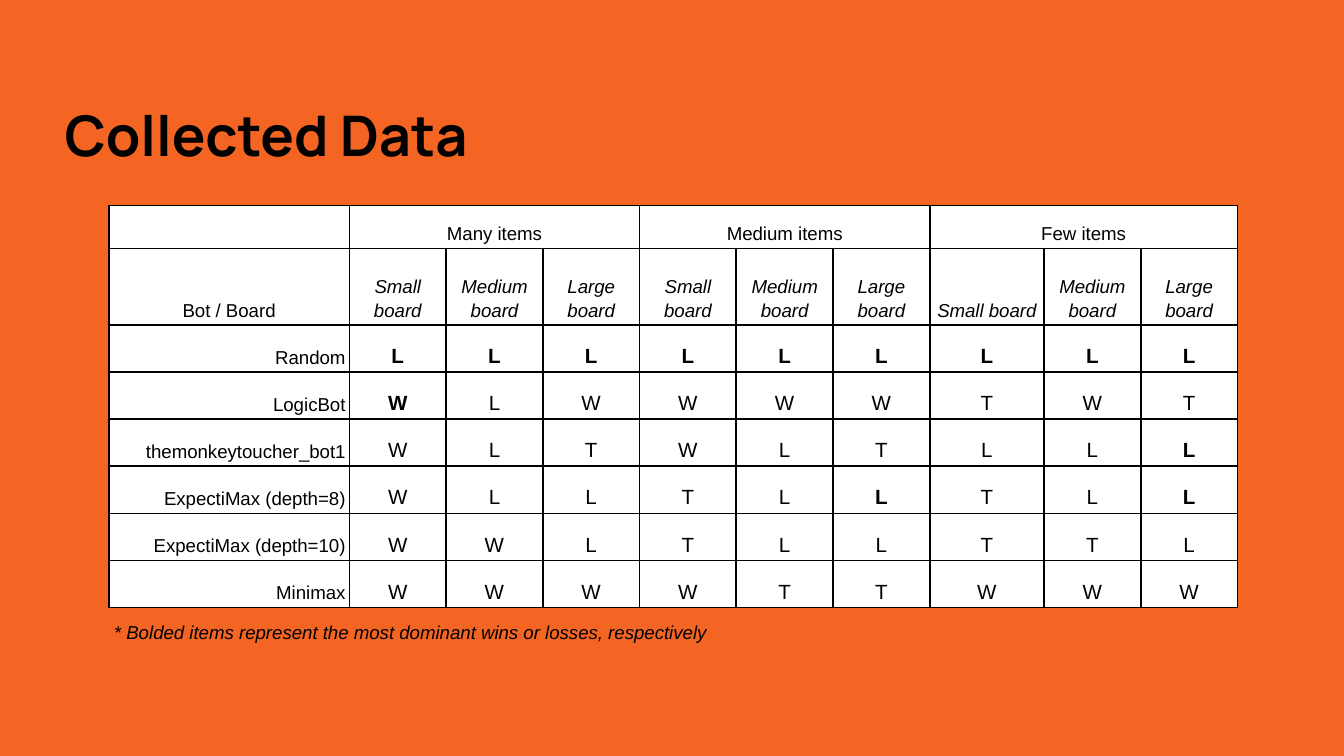
from dataclasses import dataclass

from lxml import etree
from pptx import Presentation
from pptx.dml.color import RGBColor
from pptx.enum import text
from pptx.oxml.ns import qn
from pptx.util import Inches, Pt


@dataclass(frozen=True)
class Theme:
    background: str = "F46524"
    paper: str = "FFFFFF"
    ink: str = "000000"
    title_font: str = "Manrope"
    body_font: str = "Arial"
    title_size: int = 30
    label_size: int = 10
    result_size: int = 11
    border: int = 1


THEME = Theme()
LEFT, CENTER, RIGHT = text.PP_ALIGN.LEFT, text.PP_ALIGN.CENTER, text.PP_ALIGN.RIGHT

SLIDE_WIDTH = Inches(10)
SLIDE_HEIGHT = SLIDE_WIDTH * 9 // 16

ITEM_LEVELS = ["Many items", "Medium items", "Few items"]
BOARDS = ["Small board", "Medium board", "Large board"]
# W = win, L = loss, T = tie; an asterisk marks a dominant result.
RESULTS = {
    "Random": "L* L* L* L* L* L* L* L* L*",
    "LogicBot": "W* L W W W W T W T",
    "themonkeytoucher_bot1": "W L T W L T L L L*",
    "ExpectiMax (depth=8)": "W L L T L L* T L L*",
    "ExpectiMax (depth=10)": "W W L T L L T T L",
    "Minimax": "W W W W T T W W W",
}
COLUMN_WIDTHS = [1.79] + [0.72] * 6 + [0.85] + [0.72] * 2
ROW_HEIGHTS = [0.32, 0.57] + [0.35] * len(RESULTS)


def set_all(target, values):
    for name, value in values.items():
        setattr(target, name, value)


def margins(inches):
    sides = ["margin_left", "margin_right", "margin_top", "margin_bottom"]
    return dict.fromkeys(sides, Inches(inches))


def write(frame, words, size, align=LEFT, font=THEME.body_font, **style):
    para = frame.paragraphs[0]
    para.alignment = align
    span = para.add_run()
    span.text = words
    set_all(span.font, {"name": font, "size": Pt(size), **style})
    span.font.color.rgb = RGBColor.from_string(THEME.ink)
    return para


def add_title(page, words):
    title = page.shapes.title
    set_all(title, {"left": Inches(0.38), "top": Inches(0.29),
                    "width": Inches(9.12), "height": Inches(1.06)})
    frame = title.text_frame
    set_all(frame, {"vertical_anchor": text.MSO_ANCHOR.BOTTOM, "word_wrap": True,
                    "auto_size": text.MSO_AUTO_SIZE.NONE, **margins(0.1)})
    write(frame, words, THEME.title_size, font=THEME.title_font, bold=True)


def add_footnote(page, words):
    box = page.shapes.add_textbox(Inches(0.75), Inches(4.38), Inches(6.26), Inches(0.65))
    set_all(box.text_frame, {"vertical_anchor": text.MSO_ANCHOR.MIDDLE,
                             "word_wrap": True, **margins(0.1)})
    write(box.text_frame, words, THEME.label_size, italic=True)


def draw_borders(cell):
    """Line all four sides; the lines must come before the fill."""
    props = cell._tc.get_or_add_tcPr()
    for index, side in enumerate(["a:lnL", "a:lnR", "a:lnT", "a:lnB"]):
        line = etree.Element(qn(side), w=str(Pt(THEME.border)))
        fill = etree.SubElement(line, qn("a:solidFill"))
        etree.SubElement(fill, qn("a:srgbClr"), val=THEME.ink)
        props.insert(index, line)


def style_cell(cell):
    set_all(cell, {"vertical_anchor": text.MSO_ANCHOR.BOTTOM, **margins(0.03)})
    cell.fill.solid()
    cell.fill.fore_color.rgb = RGBColor.from_string(THEME.paper)
    draw_borders(cell)
    end = cell.text_frame.paragraphs[0]._p.get_or_add_endParaRPr()
    end.set("sz", str(THEME.label_size * 100))


def fill_cell(cell, words, size=THEME.label_size, align=CENTER, **style):
    para = write(cell.text_frame, words, size, align, **style)
    para.line_spacing = 1.15


def add_results_table(page):
    frame = page.shapes.add_table(
        len(ROW_HEIGHTS), len(COLUMN_WIDTHS), Inches(0.81), Inches(1.53),
        Inches(sum(COLUMN_WIDTHS)), Inches(sum(ROW_HEIGHTS)))
    table = frame.table
    set_all(table, {"first_row": False, "horz_banding": False})
    for column, width in zip(table.columns, COLUMN_WIDTHS):
        column.width = Inches(width)
    for row, height in zip(table.rows, ROW_HEIGHTS):
        row.height = Inches(height)
    for cell in table.iter_cells():
        style_cell(cell)

    fill_cell(table.cell(1, 0), "Bot / Board")
    for group, level in enumerate(ITEM_LEVELS):
        first = 1 + group * len(BOARDS)
        heading = table.cell(0, first)
        heading.merge(table.cell(0, first + len(BOARDS) - 1))
        fill_cell(heading, level)
        for offset, board in enumerate(BOARDS):
            fill_cell(table.cell(1, first + offset), board, italic=True)

    for row, (bot, results) in enumerate(RESULTS.items(), start=2):
        fill_cell(table.cell(row, 0), bot, align=RIGHT)
        for column, result in enumerate(results.split(), start=1):
            fill_cell(table.cell(row, column), result.rstrip("*"),
                      THEME.result_size, bold=result.endswith("*"))


def main():
    deck = Presentation()
    set_all(deck, {"slide_width": SLIDE_WIDTH, "slide_height": SLIDE_HEIGHT})
    page = deck.slides.add_slide(deck.slide_layouts[5])
    page.background.fill.solid()
    page.background.fill.fore_color.rgb = RGBColor.from_string(THEME.background)
    add_title(page, "Collected Data")
    add_results_table(page)
    add_footnote(page, "* Bolded items represent the most dominant wins or losses, respectively")
    deck.save("out.pptx")


if __name__ == "__main__":
    main()
